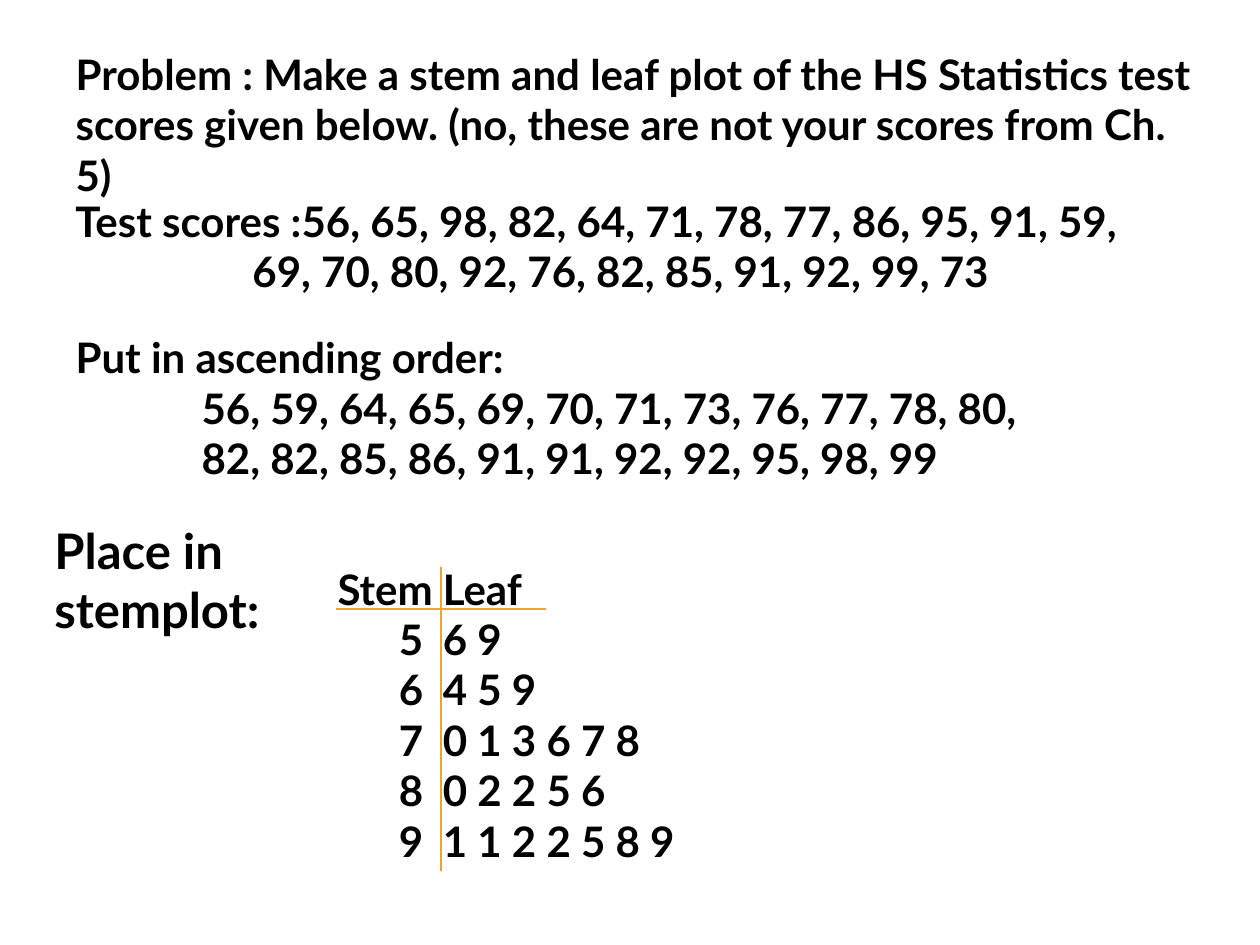
"""Build the slide that turns test scores into a stem and leaf plot."""
from dataclasses import dataclass

import lxml.etree
import pptx
import pptx.dml.color
import pptx.enum.shapes
import pptx.enum.text
import pptx.oxml.ns
import pptx.util

Pt = pptx.util.Pt
qn = pptx.oxml.ns.qn


@dataclass(frozen=True)
class Theme:
    font: str = "Lato"
    ink: str = "000000"
    rule: str = "F0A22E"
    body_size: float = 24
    label_size: float = 28
    rule_width: float = 0.8


THEME = Theme()
SCORES = [56, 65, 98, 82, 64, 71, 78, 77, 86, 95, 91, 59,
          69, 70, 80, 92, 76, 82, 85, 91, 92, 99, 73]
FIRST_ROW = 12
PLOT_TOP, PLOT_HEIGHT = 318.2, 181.4
STEM_INDENT = 35


def score_rows(scores):
    rows = scores[:FIRST_ROW], scores[FIRST_ROW:]
    first, second = (", ".join(map(str, row)) for row in rows)
    return first + ",", second


def format_paragraph(paragraph, text, size, indent=0):
    paragraph.alignment = pptx.enum.text.PP_ALIGN.LEFT
    paragraph.space_before = Pt(0)
    properties = paragraph._p.get_or_add_pPr()
    properties.set("marL", str(Pt(indent)))
    properties.set("indent", "0")
    lxml.etree.SubElement(properties, qn("a:buNone"))
    run = paragraph.add_run()
    run.text = text
    run.font.name = THEME.font
    run.font.size = Pt(size)
    run.font.bold = True
    run.font.color.rgb = pptx.dml.color.RGBColor.from_string(THEME.ink)


def write_text(holder, lines, *, at, size=THEME.body_size):
    holder.left, holder.top, holder.width, holder.height = map(Pt, at)
    frame = holder.text_frame
    frame.word_wrap = True
    frame.auto_size = pptx.enum.text.MSO_AUTO_SIZE.NONE
    frame.vertical_anchor = pptx.enum.text.MSO_ANCHOR.TOP
    for index, (text, indent) in enumerate(lines):
        paragraph = frame.add_paragraph() if index else frame.paragraphs[0]
        format_paragraph(paragraph, text, size, indent)


def add_text(slide, lines, **options):
    write_text(slide.shapes.add_textbox(0, 0, 0, 0), lines, **options)


def add_rule(slide, *ends):
    rule = slide.shapes.add_connector(
        pptx.enum.shapes.MSO_CONNECTOR.STRAIGHT, *map(Pt, ends))
    rule.line.color.rgb = pptx.dml.color.RGBColor.from_string(THEME.rule)
    rule.line.width = Pt(THEME.rule_width)
    lxml.etree.SubElement(rule._element.spPr, qn("a:effectLst"))


def add_stemplot(slide, ordered):
    stems, leaves = [("Stem", 0)], [("Leaf", 0)]
    for stem in sorted({score // 10 for score in ordered}):
        digits = [str(score % 10) for score in ordered if score // 10 == stem]
        stems.append((str(stem), STEM_INDENT))
        leaves.append((" ".join(digits), 0))
    add_text(slide, stems, at=(185.8, PLOT_TOP, 72, PLOT_HEIGHT))
    add_text(slide, leaves, at=(246, PLOT_TOP, 210, PLOT_HEIGHT))
    add_rule(slide, 192, 348, 312, 348)
    add_rule(slide, 252, 324, 252, 498)


def main():
    deck = pptx.Presentation()
    deck.slide_width, deck.slide_height = Pt(720), Pt(540)
    slide = deck.slides.add_slide(deck.slide_layouts[1])
    ordered = sorted(SCORES)

    problem = ("Problem : Make a stem and leaf plot of the HS Statistics test scores "
               "given below. (no, these are not your scores from Ch. 5)")
    write_text(slide.shapes.title, [(problem, 0)], at=(36, 24, 654, 65.4))

    first, second = score_rows(SCORES)
    add_text(slide, [("Test scores :" + first, 0), (second, 101.2)],
             at=(36, 108, 618, 65.4))

    steps = [("Put in ascending order:", 0)]
    steps += [(row, 72) for row in score_rows(ordered)]
    write_text(slide.placeholders[1], steps, at=(36, 186, 564, 94.5))

    add_stemplot(slide, ordered)
    add_text(slide, [("Place in stemplot:", 0)], at=(24, 294, 168, 75),
             size=THEME.label_size)
    deck.save("out.pptx")


main()
